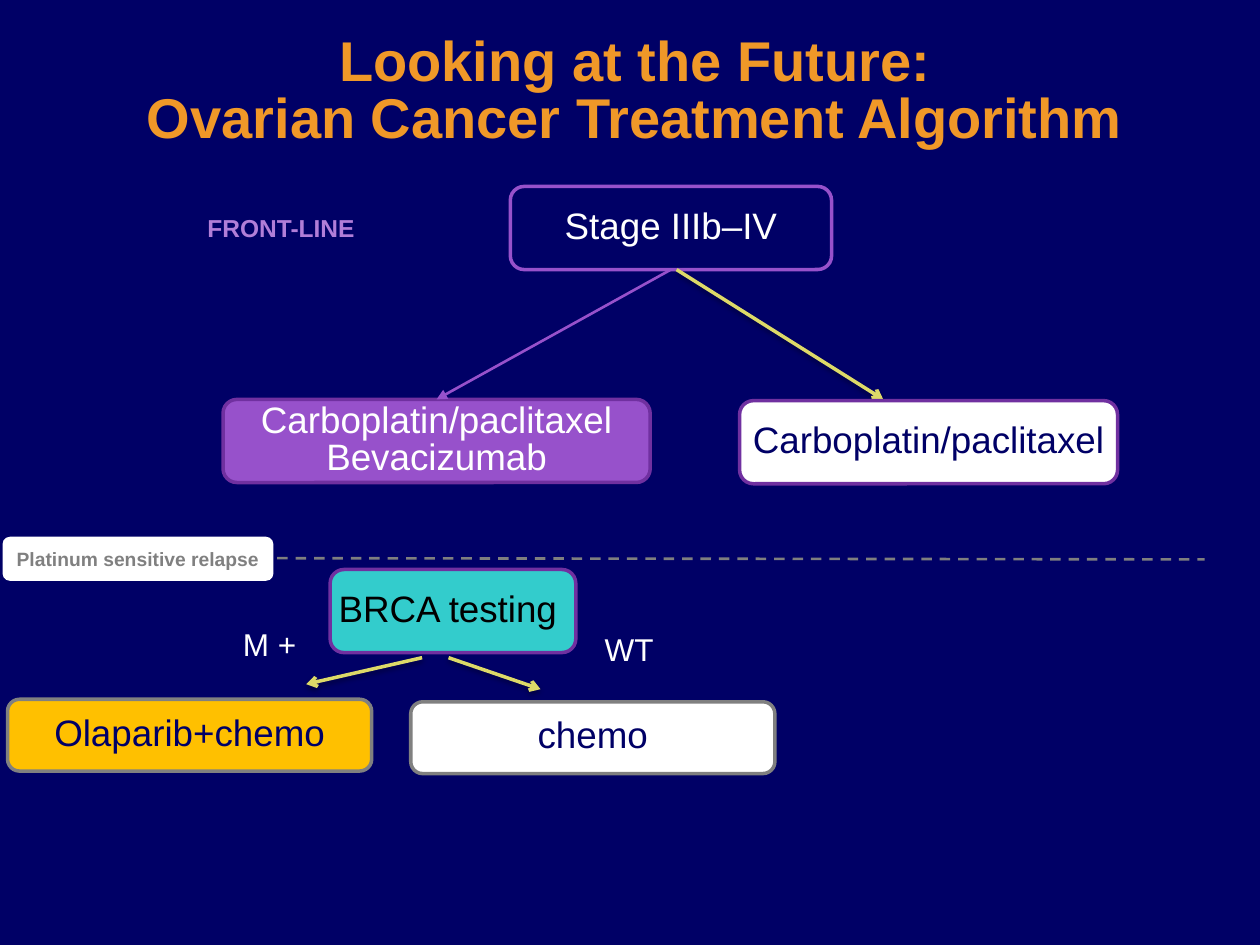
import pptx
import pptx.dml.color
import pptx.enum.dml
import pptx.enum.shapes
import pptx.enum.text
import pptx.oxml
import pptx.oxml.ns
import pptx.util
from pptx.util import Inches

NAVY, WHITE, BLACK = "000066", "FFFFFF", "000000"
PURPLE, DARK_PURPLE, LILAC = "9751CB", "7030A0", "B17ED8"
ORANGE, AMBER, TEAL, YELLOW = "F09828", "FFC000", "33CCCC", "DDDA68"
GREY, DASH_GREY = "808080", "7F7F7F"
MIDDLE = pptx.enum.text.MSO_ANCHOR.MIDDLE
CENTER = pptx.enum.text.PP_ALIGN.CENTER


def color(value):
    return pptx.dml.color.RGBColor.from_string(value)


def shadow_effect(blur, distance, angle, opacity):
    """Return an effect list with one black outer shadow; lengths in points."""
    return pptx.oxml.parse_xml(
        f'<a:effectLst {pptx.oxml.ns.nsdecls("a")}>'
        f'<a:outerShdw blurRad="{pptx.util.Pt(blur)}" dist="{pptx.util.Pt(distance)}" '
        f'dir="{angle * 60000}" algn="ctr" rotWithShape="0">'
        f'<a:srgbClr val="{BLACK}"><a:alpha val="{opacity * 1000}"/></a:srgbClr>'
        '</a:outerShdw></a:effectLst>')


def write_text(shape, text, size, fill, bold=False, align=None, spacing=None,
               anchor=None, insets=(0.1, 0.05, 0.1, 0.05), wrap=True, grow=False):
    frame = shape.text_frame
    frame.word_wrap = wrap
    frame.auto_size = (pptx.enum.text.MSO_AUTO_SIZE.SHAPE_TO_FIT_TEXT if grow
                       else pptx.enum.text.MSO_AUTO_SIZE.NONE)
    frame.vertical_anchor = anchor
    (frame.margin_left, frame.margin_top,
     frame.margin_right, frame.margin_bottom) = map(Inches, insets)
    para = frame.paragraphs[0]
    para.text = text
    para.alignment = align
    para.line_spacing = spacing
    for span in para.runs:
        span.font.size = pptx.util.Pt(size)
        span.font.bold = bold
        span.font.color.rgb = color(fill)
        span.font.name = "Arial"


def add_title(slide, text):
    title = slide.shapes.title
    title.left, title.top = Inches(0.67), Inches(0.37)
    title.width, title.height = Inches(8.74), Inches(1.18)
    write_text(title, text, 32, ORANGE, bold=True, align=CENTER, spacing=0.85,
               anchor=MIDDLE, insets=(0.1, 0.05, 0.1, 0.5))
    for span in title.text_frame.paragraphs[0].runs:
        properties = span.font.fill._xPr
        fill = properties.find(pptx.oxml.ns.qn("a:solidFill"))
        fill.addnext(shadow_effect(0, 3, 45, 100))


def add_rounded(slide, left, top, width, height, fill=None, outline=None):
    box = slide.shapes.add_shape(
        pptx.enum.shapes.MSO_SHAPE.ROUNDED_RECTANGLE,
        Inches(left), Inches(top), Inches(width), Inches(height))
    box.shadow.inherit = False
    if fill:
        box.fill.solid()
        box.fill.fore_color.rgb = color(fill)
    else:
        box.fill.background()
    if outline:
        box.line.color.rgb = color(outline)
        box.line.width = pptx.util.Pt(2)
    else:
        box.line.fill.background()
    return box


def add_step(slide, text, left, top, width, height, fill, outline, ink, side=0):
    box = add_rounded(slide, left, top, width, height, fill, outline)
    write_text(box, text, 21, ink, align=CENTER, spacing=pptx.util.Pt(21),
               anchor=MIDDLE, insets=(side, 0.07, side, 0.07))
    return box


def add_label(slide, text, left, top, width, height, wrap=True):
    box = slide.shapes.add_textbox(
        Inches(left), Inches(top), Inches(width), Inches(height))
    write_text(box, text, 18, WHITE, wrap=wrap, grow=True)


def add_line(slide, start, end, stroke, width, head=None, shadow=False):
    line = slide.shapes.add_connector(
        pptx.enum.shapes.MSO_CONNECTOR.STRAIGHT, *map(Inches, start + end))
    line.line.color.rgb = color(stroke)
    line.line.width = pptx.util.Pt(width)
    if head:
        line.line._get_or_add_ln().append(pptx.oxml.parse_xml(
            f'<a:tailEnd {pptx.oxml.ns.nsdecls("a")} type="{head}"/>'))
    effect = (shadow_effect(3.1, 1.6, 90, 38) if shadow else
              pptx.oxml.parse_xml(f'<a:effectLst {pptx.oxml.ns.nsdecls("a")}/>'))
    line._element.spPr.append(effect)
    return line


def add_front_line(slide):
    label = add_rounded(slide, 1.53, 1.62, 1.42, 0.37)
    write_text(label, "FRONT-LINE", 14, LILAC, bold=True, anchor=MIDDLE,
               align=pptx.enum.text.PP_ALIGN.LEFT, wrap=False, grow=True)
    stage = add_step(slide, "Stage IIIb–IV", 4.05, 1.48, 2.55, 0.66,
                     None, PURPLE, WHITE, side=0.13)
    combination = add_step(slide, "Carboplatin/paclitaxel Bevacizumab",
                           1.77, 3.17, 3.39, 0.66, PURPLE, DARK_PURPLE, WHITE)
    arrow = add_line(slide, (5.33, 2.14), (3.47, 3.17), PURPLE, 1.5, "triangle")
    arrow.begin_connect(stage, 2)
    arrow.end_connect(combination, 0)
    add_line(slide, (5.37, 2.14), (7.01, 3.17), YELLOW, 2, "arrow", shadow=True)
    add_step(slide, "Carboplatin/paclitaxel", 5.87, 3.18, 3, 0.66,
             WHITE, DARK_PURPLE, NAVY)


def add_relapse(slide):
    divider = add_line(slide, (2.2, 4.43), (9.56, 4.44), DASH_GREY, 1.5)
    divider.line.dash_style = pptx.enum.dml.MSO_LINE.DASH
    label = add_rounded(slide, 0.02, 4.26, 2.15, 0.35, WHITE)
    write_text(label, "Platinum sensitive relapse", 11, GREY, bold=True,
               align=CENTER, anchor=MIDDLE, insets=(0, 0.07, 0, 0.07), grow=True)
    add_step(slide, "BRCA testing ", 2.62, 4.52, 1.95, 0.66,
             TEAL, DARK_PURPLE, BLACK)
    add_label(slide, "M +", 1.83, 4.91, 0.71, 0.4)
    add_label(slide, "WT", 4.7, 4.95, 0.59, 0.4, wrap=False)
    for start, end in (((3.35, 5.22), (2.43, 5.43)), ((3.56, 5.22), (4.29, 5.47))):
        add_line(slide, start, end, YELLOW, 2, "arrow", shadow=True)
    for text, left, top, fill in (("Olaparib+chemo", 0.06, 5.55, AMBER),
                                  ("chemo", 3.26, 5.57, WHITE)):
        add_step(slide, text, left, top, 2.89, 0.57, fill, GREY, NAVY, side=0.13)


def main():
    deck = pptx.Presentation()
    deck.slide_width, deck.slide_height = Inches(10), Inches(7.5)
    slide = deck.slides.add_slide(deck.slide_layouts[5])
    slide.background.fill.solid()
    slide.background.fill.fore_color.rgb = color(NAVY)
    add_title(slide, "Looking at the Future:\vOvarian Cancer Treatment Algorithm")
    add_front_line(slide)
    add_relapse(slide)
    deck.save("out.pptx")


if __name__ == "__main__":
    main()
